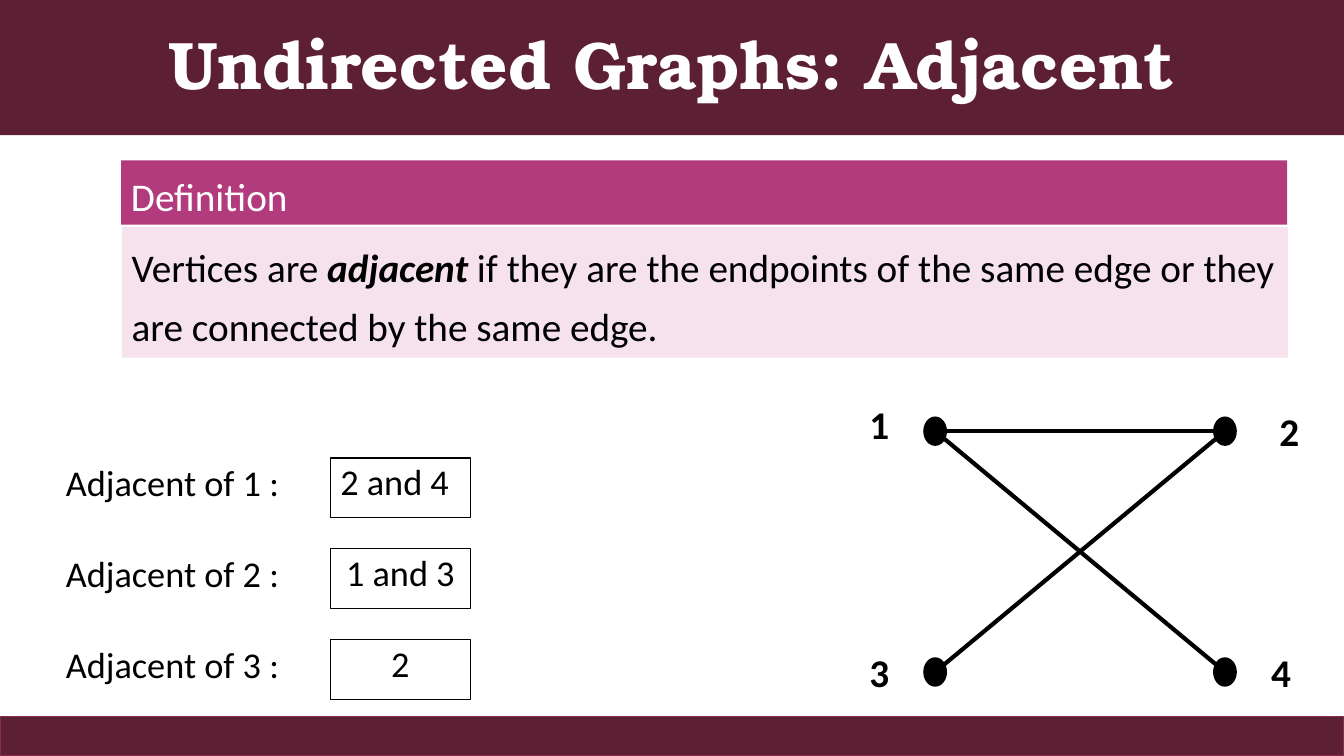
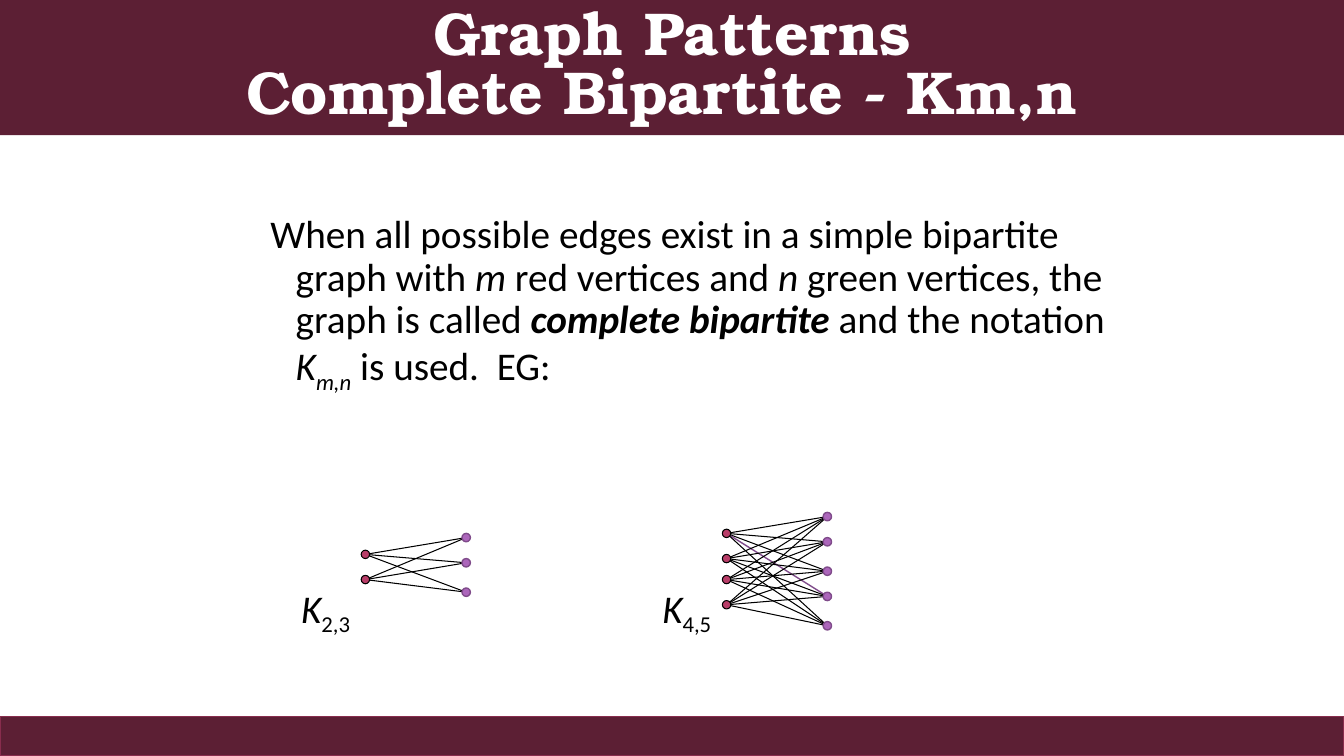
from dataclasses import dataclass
from itertools import product

from lxml.etree import SubElement
from pptx import Presentation
from pptx.dml.color import RGBColor
from pptx.enum.shapes import MSO_CONNECTOR, MSO_SHAPE
from pptx.enum.text import MSO_ANCHOR, MSO_AUTO_SIZE, PP_ALIGN
from pptx.oxml.ns import qn
from pptx.util import Pt


@dataclass(frozen=True)
class Theme:
    wine: str = "5C1F34"
    rim: str = "882D4D"
    pink: str = "B23B7E"
    blush: str = "F5E2ED"
    red: str = "B83D68"
    violet: str = "AC66BB"
    plum: str = "7F4B8A"
    black: str = "000000"
    white: str = "FFFFFF"
    serif: str = "TeX Gyre Bonum"
    sans: str = "Calibri"
    title: float = 48
    double: float = 43.2
    body: float = 28
    label: float = 25.9


T = Theme()
WIDE, HIGH = 960, 540
BAND, FOOT = 96.5, 28
ITALIC = {"italic": True}
STRONG = {"bold": True, "italic": True}
SUB = {"base": -25000}


def apply(item, values):
    for name, value in values.items():
        setattr(item, name, value)


def place(item, x, y, w, h):
    apply(item, {"left": Pt(x), "top": Pt(y), "width": Pt(w), "height": Pt(h)})


def paint(item, fill=None, line=None, width=1):
    if fill:
        item.fill.solid()
        item.fill.fore_color.rgb = RGBColor.from_string(fill)
    else:
        item.fill.background()
    if line:
        item.line.color.rgb = RGBColor.from_string(line)
        item.line.width = Pt(width)
    else:
        item.line.fill.background()


def write(para, runs, size, color=T.black, face=T.sans, bold=False):
    """Add runs, each a string or a (string, font values) pair."""
    for part in runs:
        text, extra = (part, {}) if isinstance(part, str) else part
        look = {"name": face, "size": Pt(size), "bold": bold, **extra}
        base = look.pop("base", None)
        run = para.add_run()
        run.text = text
        apply(run.font, look)
        run.font.color.rgb = RGBColor.from_string(color)
        if base:
            run.font._element.set("baseline", str(base))


def shape(slide, kind, area, **look):
    item = slide.shapes.add_shape(kind, *map(Pt, area))
    item.shadow.inherit = False
    paint(item, **look)
    return item


def box(slide, area, runs, size, align=PP_ALIGN.LEFT, space=1.0,
        color=T.black, bold=False, frame=None, **look):
    item = shape(slide, MSO_SHAPE.RECTANGLE, area, **look)
    apply(item.text_frame, {"word_wrap": True, "vertical_anchor": MSO_ANCHOR.TOP,
                            **(frame or {})})
    para = item.text_frame.paragraphs[0]
    apply(para, {"alignment": align, "line_spacing": space})
    write(para, runs, size, color, bold=bold)


def edge(slide, start, end, color=T.black, width=0.75):
    line = slide.shapes.add_connector(MSO_CONNECTOR.STRAIGHT, *map(Pt, start + end))
    line.line.color.rgb = RGBColor.from_string(color)
    line.line.width = Pt(width)
    SubElement(line._element.spPr, qn("a:effectLst"))


def dot(slide, center, w, h, kind=MSO_SHAPE.OVAL, **look):
    x, y = center
    shape(slide, kind, (x - w / 2, y - h / 2, w, h), **look)


def start(deck, layout, lines, size, space):
    """Add a slide with its title band and foot band."""
    slide = deck.slides.add_slide(deck.slide_layouts[layout])
    title = slide.shapes.title
    place(title, 0, 0, WIDE, BAND)
    paint(title, T.wine)
    apply(title.text_frame, {"vertical_anchor": MSO_ANCHOR.MIDDLE,
                             "auto_size": MSO_AUTO_SIZE.NONE})
    para = title.text_frame.paragraphs[0]
    apply(para, {"alignment": PP_ALIGN.CENTER, "line_spacing": space})
    for i, line in enumerate(lines):
        if i:
            para.add_line_break()
        write(para, [line], size, T.white, T.serif, True)
    shape(slide, MSO_SHAPE.RECTANGLE, (0, HIGH - FOOT, WIDE, FOOT),
          fill=T.wine, line=T.rim)
    return slide


def define(slide, term, runs):
    box(slide, (86.5, 114.5, 833, 46), [term], T.body, space=1.14,
        color=T.white, fill=T.pink)
    box(slide, (87, 162, 833, 93.5), runs, T.body, space=1.25, fill=T.blush)


def answers(slide, rows):
    for i, (name, text, align) in enumerate(rows):
        y = 327.5 + 65 * i
        box(slide, (40, y, 174, 42), [f"Adjacent of {name} :"], T.label, space=0.94)
        box(slide, (236, y - 0.5, 100, 42.5), [text], T.label, align, 0.94,
            fill=T.white, line=T.black)


def graph(slide):
    """Draw the four-vertex graph with its labels."""
    nodes = {"1": (668, 308), "2": (875, 308), "3": (668, 480), "4": (875, 480)}
    tags = {"1": (612, 287), "2": (905, 292), "3": (612, 464), "4": (899, 464)}
    for a, b in ("12", "23", "14"):
        edge(slide, nodes[a], nodes[b], width=3)
    frame = {"vertical_anchor": MSO_ANCHOR.MIDDLE, "word_wrap": False,
             "margin_left": 0, "margin_right": 0}
    for name, center in nodes.items():
        dot(slide, center, 16, 20, MSO_SHAPE.FLOWCHART_CONNECTOR,
            fill=T.black, line=T.black)
        box(slide, (*tags[name], 32, 32), [name], T.body, PP_ALIGN.CENTER,
            bold=True, frame=frame)


def bipartite(slide, x, left, right, accent=None):
    """Join and name all vertices; accent is one (left, right) pair."""
    name = f"{len(left)},{len(right)}"
    box(slide, (x - 53, 414, 64, 40), [("K", ITALIC), (name, SUB)],
        T.body, space=0.9)
    reds = [(x, y) for y in left]
    violets = [(x + 72, y) for y in right]
    for (i, a), (j, b) in product(enumerate(reds), enumerate(violets)):
        look = {"color": T.plum, "width": 1} if (i, j) == accent else {}
        edge(slide, a, b, **look)
    for center in reds:
        dot(slide, center, 6, 6, fill=T.red, line=T.black, width=0.75)
    for center in violets:
        dot(slide, center, 6, 6, fill=T.violet, line=T.plum)


def prose(slide, runs):
    body = slide.placeholders[1]
    place(body, 186, 150, 612, 150)
    apply(body.text_frame, {"vertical_anchor": MSO_ANCHOR.TOP,
                            "auto_size": MSO_AUTO_SIZE.NONE})
    para = body.text_frame.paragraphs[0]
    apply(para, {"line_spacing": 0.9, "space_before": Pt(0)})
    props = para._p.get_or_add_pPr()
    apply_indent = {"marL": 18, "indent": -18}
    for name, value in apply_indent.items():
        props.set(name, str(Pt(value)))
    SubElement(props, qn("a:buNone"))
    write(para, runs, T.body)


def main():
    deck = Presentation()
    apply(deck, {"slide_width": Pt(WIDE), "slide_height": Pt(HIGH)})

    slide = start(deck, 5, ["Undirected Graphs: Adjacent"], T.title, 0.9)
    define(slide, "Definition", [
        "Vertices are ", ("adjacent", STRONG),
        " if they are the endpoints of the same edge or they are connected"
        " by the same edge."])
    answers(slide, [("1", "2 and 4", PP_ALIGN.LEFT),
                    ("2", "1 and 3", PP_ALIGN.CENTER),
                    ("3", "2", PP_ALIGN.CENTER)])
    graph(slide)

    slide = start(deck, 1, ["Graph Patterns", "Complete Bipartite - Km,n "],
                  T.double, 0.8)
    prose(slide, [
        "When all possible edges exist in a simple bipartite graph with ",
        ("m", ITALIC), " red vertices and ", ("n", ITALIC),
        " green vertices, the graph is called ", ("complete bipartite", STRONG),
        " and the notation ", ("K", ITALIC), ("m,n", {**ITALIC, **SUB}),
        " is used.  EG:"])
    bipartite(slide, 261, (396, 414), (384, 402, 423))
    bipartite(slide, 519, (381, 399, 414, 432), (369, 387, 408, 426, 447), (0, 3))

    deck.save("out.pptx")


if __name__ == "__main__":
    main()
